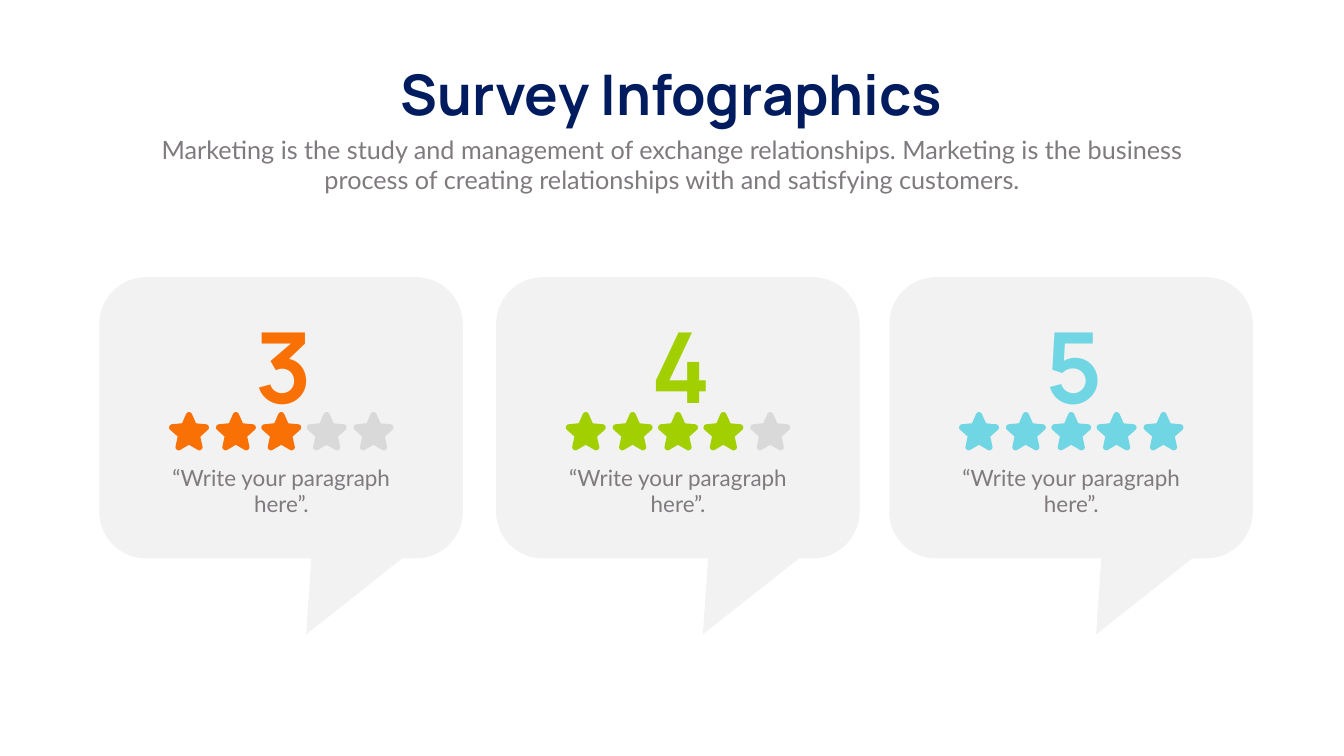
from dataclasses import dataclass
from math import cos, radians, sin

from pptx import Presentation
from pptx.dml.color import RGBColor
from pptx.enum.shapes import MSO_SHAPE
from pptx.enum.text import MSO_AUTO_SIZE, PP_ALIGN
from pptx.util import Inches, Pt

NAVY, GRAY = "001C5E", "7F7A7E"
BUBBLE_FILL, EMPTY_STAR = "F2F2F2", "D9D9D9"

BUBBLE_TOP, BUBBLE_WIDTH, BUBBLE_HEIGHT = 5.5, 7.21, 5.58
BUBBLE_ADJUSTMENTS = (0.069, 0.77, 0.167)
STAR_CENTERS = (1.78, 2.71, 3.61, 4.51, 5.44)  # from the left of the bubble
STAR_CENTER_Y = 8.59
# One star arm pointing up: a rounded tip, then the valley to its right.
STAR_ARM = ((-0.06, 0.37), (-0.045, 0.395), (-0.02, 0.41),
            (0.02, 0.41), (0.045, 0.395), (0.06, 0.37), (0.14, 0.19))


@dataclass(frozen=True)
class Box:
    left: float
    top: float
    width: float
    height: float

    def lengths(self) -> tuple:
        return tuple(Inches(v) for v in (self.left, self.top, self.width, self.height))


@dataclass(frozen=True)
class Rating:
    left: float
    score: int
    color: str


RATINGS = (
    Rating(1.97, 3, "F97104"),
    Rating(9.84, 4, "A1CF00"),
    Rating(17.64, 5, "70D6E4"),
)

TITLE_FONT = {"name": "Manrope", "size": Pt(80), "bold": True}
SCORE_FONT = {"name": "Manrope", "size": Pt(140), "bold": True}
INTRO_FONT = {"name": "Lato", "size": Pt(36)}
QUOTE_FONT = {"name": "Lato", "size": Pt(32)}


def paint(color_format, color: str) -> None:
    color_format.rgb = RGBColor.from_string(color)


def fill_flat(shape, color: str) -> None:
    """Give the shape a solid fill with no outline or shadow."""
    shape.shadow.inherit = False
    shape.fill.solid()
    paint(shape.fill.fore_color, color)
    shape.line.fill.background()


def add_text(slide, box: Box, text: str, font: dict, color: str, wrap: bool = True) -> None:
    frame = slide.shapes.add_textbox(*box.lengths()).text_frame
    frame.word_wrap = wrap
    frame.auto_size = MSO_AUTO_SIZE.SHAPE_TO_FIT_TEXT
    paragraph = frame.paragraphs[0]
    paragraph.alignment = PP_ALIGN.CENTER
    run = paragraph.add_run()
    run.text = text
    for attribute, value in font.items():
        setattr(run.font, attribute, value)
    paint(run.font.color, color)


def add_bubble(slide, left: float) -> None:
    box = Box(left, BUBBLE_TOP, BUBBLE_WIDTH, BUBBLE_HEIGHT)
    bubble = slide.shapes.add_shape(MSO_SHAPE.ROUNDED_RECTANGULAR_CALLOUT, *box.lengths())
    for index, value in enumerate(BUBBLE_ADJUSTMENTS):
        bubble.adjustments[index] = value
    fill_flat(bubble, BUBBLE_FILL)


def add_star(slide, center_x: float, color: str) -> None:
    """Draw a rounded star by turning one arm through five equal steps."""
    outline = []
    for turn in (radians(72 * arm) for arm in range(5)):
        for across, outward in STAR_ARM:
            x = center_x + across * cos(turn) + outward * sin(turn)
            y = STAR_CENTER_Y + across * sin(turn) - outward * cos(turn)
            outline.append((Inches(x), Inches(y)))
    builder = slide.shapes.build_freeform(*outline[0])
    builder.add_line_segments(outline[1:], close=True)
    fill_flat(builder.convert_to_shape(), color)


def add_rating(slide, rating: Rating) -> None:
    add_bubble(slide, rating.left)
    for position, offset in enumerate(STAR_CENTERS):
        color = rating.color if position < rating.score else EMPTY_STAR
        add_star(slide, rating.left + offset, color)
    add_text(slide, Box(rating.left + 1.32, 9.15, 4.58, 1.18),
             "“Write your paragraph here”.", QUOTE_FONT, GRAY)
    add_text(slide, Box(rating.left + 2.92, 6.02, 1.5, 2.46),
             str(rating.score), SCORE_FONT, rating.color, wrap=False)


def main() -> None:
    presentation = Presentation()
    presentation.slide_width = Inches(26.66)
    presentation.slide_height = Inches(15)
    slide = presentation.slides.add_slide(presentation.slide_layouts[6])

    add_text(slide, Box(7.41, 1.14, 11.83, 1.45), "Survey Infographics",
             TITLE_FONT, NAVY, wrap=False)
    add_text(slide, Box(2.92, 2.61, 20.82, 1.31),
             "Marketing is the study and management of exchange relationships. "
             "Marketing is the business process of creating relationships with "
             "and satisfying customers.", INTRO_FONT, GRAY)
    for rating in RATINGS:
        add_rating(slide, rating)

    presentation.save("out.pptx")


if __name__ == "__main__":
    main()
